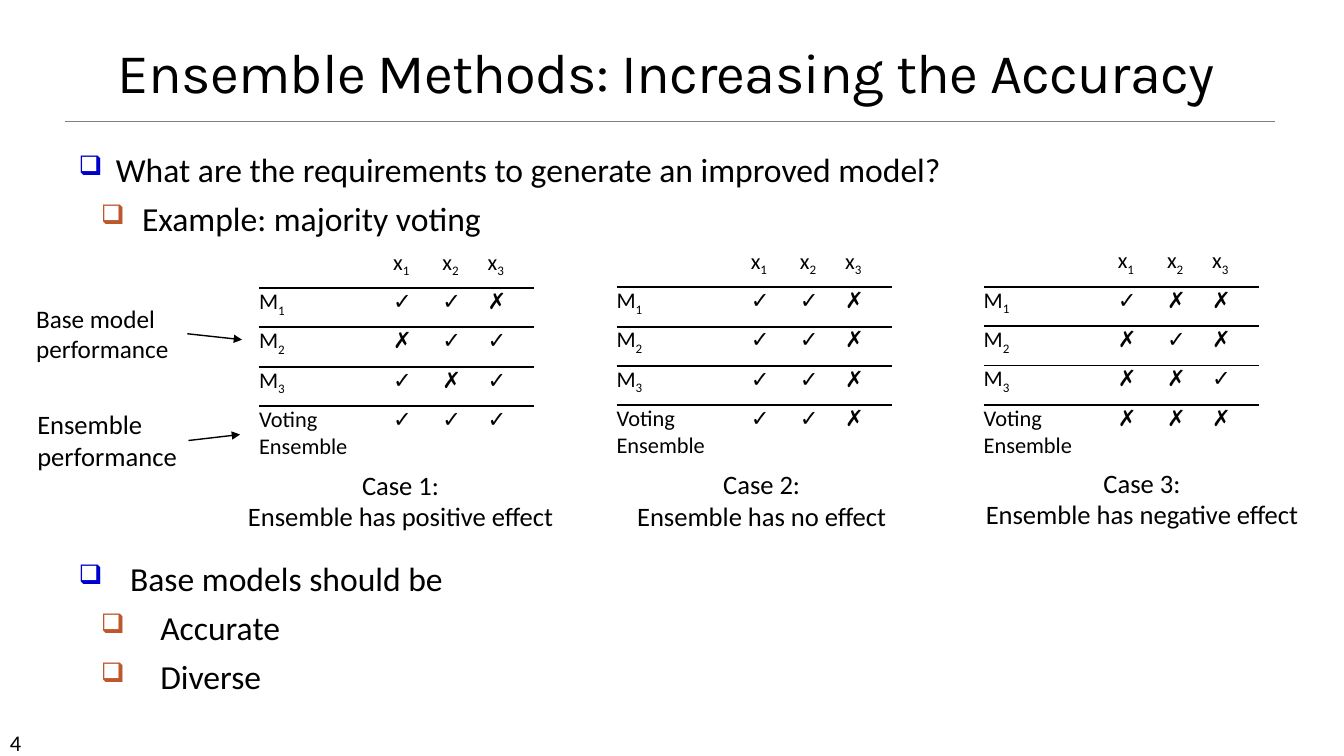
from pptx import Presentation, util as u
from pptx.dml.color import RGBColor
from pptx.enum import shapes, text
from pptx.oxml import parse_xml
from pptx.oxml.ns import nsdecls

INK = {"black": "000000", "white": "FFFFFF", "gray": "808080",
       "blue": "0000CC", "rust": "BD582C"}
BODY, HEAD = "Calibri", "Karla"
PLAIN = "{2D5ABB26-0587-4C30-8999-92F81FD0307C}"

TITLE = "Ensemble Methods: Increasing the Accuracy"
LISTS = [
    (3.63, 14.71, [(0.94, 0.94), (1.6, 1.04)],
     [(0, "What are the requirements to generate an improved model?"),
      (1, "Example: majority voting")]),
    (13.94, 4.78, [(1.3, 1.3), (2.06, 1.5)],
     [(0, "Base models should be"), (1, "Accurate"), (1, "Diverse")]),
]
TOPS = ["x_1", "x_2", "x_3"]
ROWS = ["M_1", "M_2", "M_3", "Voting Ensemble"]
CASES = [
    ((6.53, 6.27), ["✓✓✗", "✗✓✓", "✓✗✓", "✓✓✓"],
     (5.89, 11.68, 8.41, 1.88), ["Case 1:", "Ensemble has positive effect"]),
    ((15.54, 6.25), ["✓✓✗", "✓✓✗", "✓✓✗", "✓✓✗"],
     (14.99, 11.66, 8.41, 1.88), ["Case 2:", "Ensemble has no effect"]),
    ((24.79, 6.24), ["✓✗✗", "✗✓✗", "✗✗✓", "✗✗✗"],
     (24.46, 11.63, 8.64, 1.88), ["Case 3:", "Ensemble has negative effect"]),
]
COLS = [3.38, 1.24, 1.14, 1.17]
HIGHS = [0.99] * 4 + [1.75]
RULED = {0, 1, 3}
LABELS = [
    ("Base model performance", 18, (0.66, 7.52, 4.06, 1.8), (4.72, 8.41, 6.1, 8.56)),
    ("Ensemble performance", 19, (0.69, 10.16, 4.06, 1.88), (4.75, 11.1, 6.05, 10.95)),
]


def cms(nums):
    return [u.Cm(n) for n in nums]


def paint(name):
    return RGBColor.from_string(INK[name])


def write(para, words, size, face=BODY):
    for i, part in enumerate(words.split("_")):
        run = para.add_run()
        run.text = part
        run.font.size = u.Pt(size)
        run.font.name = face
        run.font.color.rgb = paint("black")
        if i:
            run._r.get_or_add_rPr().set("baseline", "-25000")


def add_box(slide, spot, lines, size, align=text.PP_ALIGN.LEFT, face=BODY):
    box = slide.shapes.add_textbox(*cms(spot))
    frame = box.text_frame
    frame.word_wrap = True
    for i, words in enumerate(lines):
        para = frame.add_paragraph() if i else frame.paragraphs[0]
        para.alignment = align
        write(para, words, size, face)
    return box


def add_line(slide, ends, color, width, arrow=False):
    line = slide.shapes.add_connector(shapes.MSO_CONNECTOR.STRAIGHT, *cms(ends))
    line.line.color.rgb = paint(color)
    line.line.width = u.Pt(width)
    if arrow:
        line.line._get_or_add_ln().append(
            parse_xml(f'<a:tailEnd {nsdecls("a")} type="triangle"/>'))
    line._element.spPr.append(parse_xml(f'<a:effectLst {nsdecls("a")}/>'))


def add_list(slide, top, high, dents, items):
    box = add_box(slide, (1.73, top, 23.8, high), [words for _, words in items], 24)
    for i, (para, (level, _)) in enumerate(zip(box.text_frame.paragraphs, items)):
        left, hang = dents[level]
        props = para._p.get_or_add_pPr()
        props.set("marL", str(u.Cm(left)))
        props.set("indent", str(-u.Cm(hang)))
        color = INK[("blue", "rust")[level]]
        for tag in (f'buClr {nsdecls("a")}><a:srgbClr val="{color}"/></a:buClr',
                    f'buSzPct {nsdecls("a")} val="80000"/',
                    f'buChar {nsdecls("a")} char="❑"/'):
            props.append(parse_xml(f"<a:{tag}>"))
        para.level = level
        if i:
            para.space_before = u.Pt(6)


def add_grid(slide, spot, marks):
    size = (sum(COLS), sum(HIGHS))
    grid = slide.shapes.add_table(len(HIGHS), len(COLS), *cms(spot + size)).table
    grid._tbl.tblPr.find("{*}tableStyleId").text = PLAIN
    grid.first_row = grid.horz_banding = False
    for col, wide in zip(grid.columns, COLS):
        col.width = u.Cm(wide)
    lines = [[""] + TOPS] + [[name, *row] for name, row in zip(ROWS, marks)]
    for r, line in enumerate(lines):
        grid.rows[r].height = u.Cm(HIGHS[r])
        for c, words in enumerate(line):
            cell = grid.cell(r, c)
            cell.margin_left = cell.margin_right = 0
            cell.margin_top = cell.margin_bottom = 0
            cell.fill.background()
            if words:
                write(cell.text_frame.paragraphs[0], words, 16)
            for side, row in (("B", r), ("T", r - 1)):
                if row in RULED:
                    cell._tc.get_or_add_tcPr().insert(0, parse_xml(
                        f'<a:ln{side} {nsdecls("a")} w="{u.Pt(1.5)}"><a:solidFill>'
                        f'<a:srgbClr val="{INK["black"]}"/></a:solidFill></a:ln{side}>'))


def main():
    """Build the ensemble methods slide."""
    deck = Presentation()
    deck.slide_width, deck.slide_height = cms((33.87, 19.05))
    slide = deck.slides.add_slide(deck.slide_layouts[6])
    add_line(slide, (1.65, 3.05, 32.13, 3.05), "gray", 0.5)
    add_box(slide, (0, 18.24, 2.97, 0.76), ["4"], 16)
    title = add_box(slide, (0, 0, 33.58, 2.77), [TITLE], 40,
                    text.PP_ALIGN.CENTER, HEAD).text_frame
    title.vertical_anchor = text.MSO_ANCHOR.BOTTOM
    title.paragraphs[0].line_spacing = 0.85
    title.paragraphs[0].runs[0]._r.get_or_add_rPr().set("spc", "-50")
    for block in LISTS:
        add_list(slide, *block)
    for spot, marks, place, lines in CASES:
        add_grid(slide, spot, marks)
        add_box(slide, place, lines, 19, text.PP_ALIGN.CENTER)
    for words, size, spot, ends in LABELS:
        add_box(slide, spot, [words], size)
        add_line(slide, ends, "black", 1, True)
    deck.save("out.pptx")


if __name__ == "__main__":
    main()
